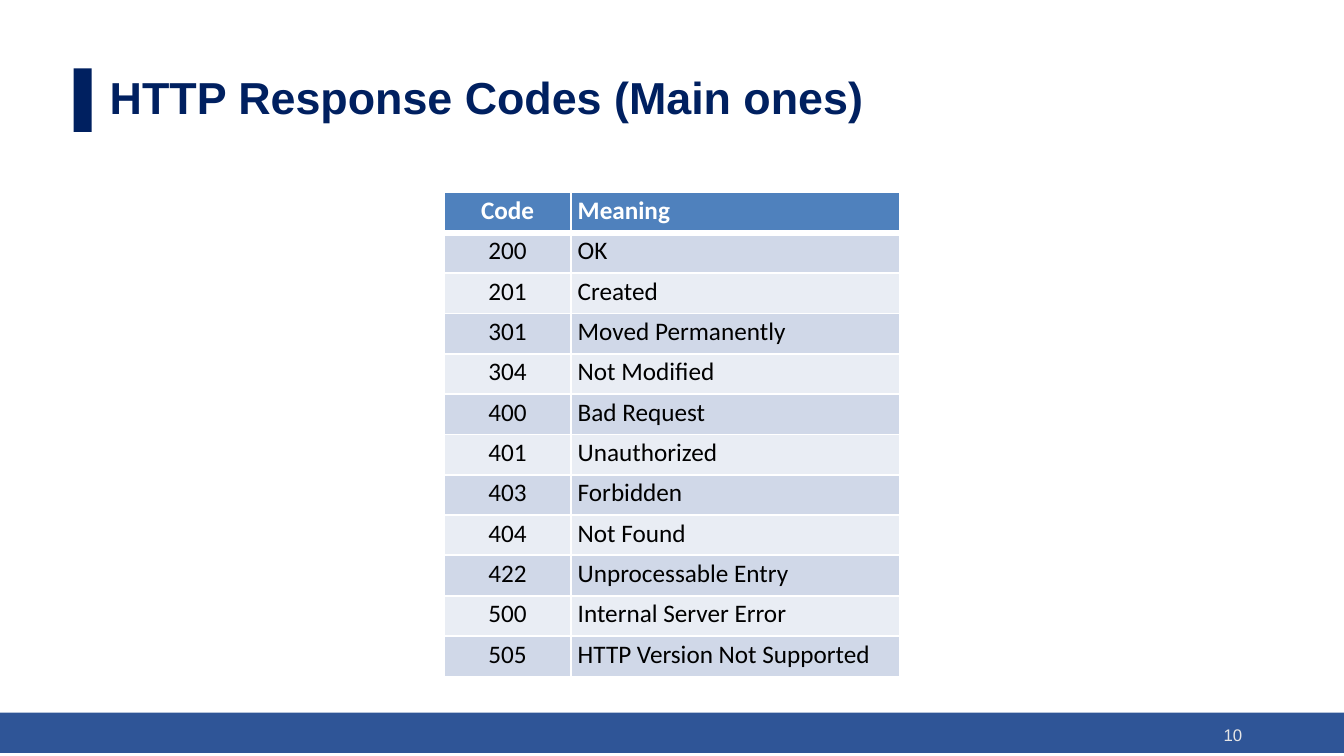
from dataclasses import dataclass

import pptx
import pptx.dml.color
import pptx.enum.shapes
import pptx.enum.text
import pptx.oxml.ns
import pptx.util
from lxml import etree

PX = 9144  # EMU per px, 100 px to the inch
ALIGN = pptx.enum.text.PP_ALIGN
MIDDLE = pptx.enum.text.MSO_ANCHOR.MIDDLE


@dataclass(frozen=True)
class Theme:
    navy: str = "002060"
    footer: str = "2F5597"
    number: str = "E7E6E6"
    header: str = "4F81BD"
    odd_row: str = "D0D8E8"
    even_row: str = "E9EDF4"
    white: str = "FFFFFF"
    black: str = "000000"
    heading_font: str = "Arial"
    table_font: str = "Calibri"
    title_size: int = 32
    table_size: int = 18
    number_size: int = 12
    outer_line: float = 0.75
    inner_line: float = 1.5
    header_line: float = 4.5


@dataclass(frozen=True)
class Box:
    left: int
    top: int
    width: int
    height: int

    def emu(self) -> list[int]:
        return [side * PX for side in (self.left, self.top, self.width, self.height)]


@dataclass(frozen=True)
class Bar:
    box: Box
    color: str


@dataclass(frozen=True)
class Style:
    font: str
    size: int
    color: str
    bold: bool = False
    align: ALIGN = ALIGN.LEFT
    indent: int = 0


@dataclass(frozen=True)
class Label:
    box: Box
    text: str
    style: Style
    line_spacing: float = 1.0


@dataclass(frozen=True)
class Status:
    code: str
    meaning: str


THEME = Theme()

BARS = [
    Bar(Box(0, 707, 1333, 40), THEME.footer),
    Bar(Box(73, 68, 18, 63), THEME.navy),
]

LABELS = [
    Label(Box(942, 709, 300, 40), "10",
          Style(THEME.heading_font, THEME.number_size, THEME.number, align=ALIGN.RIGHT)),
    Label(Box(73, 60, 1247, 78), "HTTP Response Codes (Main ones)",
          Style(THEME.heading_font, THEME.title_size, THEME.navy, bold=True, indent=26), 0.9),
]

STATUSES = [
    Status("Code", "Meaning"),
    Status("200", "OK"),
    Status("201", "Created"),
    Status("301", "Moved Permanently"),
    Status("304", "Not Modified"),
    Status("400", "Bad Request"),
    Status("401", "Unauthorized"),
    Status("403", "Forbidden"),
    Status("404", "Not Found"),
    Status("422", "Unprocessable Entry"),
    Status("500", "Internal Server Error"),
    Status("505", "HTTP Version Not Supported"),
]
COLUMN_WIDTHS = [125, 326]
ROW_HEIGHT = 40
TABLE_BOX = Box(441, 191, sum(COLUMN_WIDTHS), ROW_HEIGHT * len(STATUSES))


def rgb(color: str) -> pptx.dml.color.RGBColor:
    return pptx.dml.color.RGBColor.from_string(color)


def write(frame, text: str, style: Style) -> None:
    frame.text = text
    para = frame.paragraphs[0]
    para.alignment = style.align
    if style.indent:
        para._p.get_or_add_pPr().set("marL", str(style.indent * PX))
    font = para.runs[0].font
    font.name, font.size, font.bold = style.font, pptx.util.Pt(style.size), style.bold
    font.color.rgb = rgb(style.color)


def draw_bar(page, bar: Bar) -> None:
    shape = page.shapes.add_shape(pptx.enum.shapes.MSO_SHAPE.RECTANGLE, *bar.box.emu())
    shape.shadow.inherit = False
    shape.fill.solid()
    shape.fill.fore_color.rgb = rgb(bar.color)
    shape.line.fill.background()


def draw_label(page, label: Label) -> None:
    frame = page.shapes.add_textbox(*label.box.emu()).text_frame
    frame.word_wrap = True
    frame.vertical_anchor = MIDDLE
    write(frame, label.text, label.style)
    frame.paragraphs[0].line_spacing = label.line_spacing


def set_border(cell, side: str, points: float) -> None:
    qn = pptx.oxml.ns.qn
    line = etree.SubElement(cell._tc.get_or_add_tcPr(), qn(f"a:ln{side}"),
                            w=str(pptx.util.Pt(points)))
    fill = etree.SubElement(line, qn("a:solidFill"))
    etree.SubElement(fill, qn("a:srgbClr"), val=THEME.white)


def horizontal_line(edge: int) -> float:
    """Width of the line above row number edge."""
    if edge in (0, len(STATUSES)):
        return THEME.outer_line
    return THEME.header_line if edge == 1 else THEME.inner_line


def draw_cell(cell, row: int, column: int, text: str) -> None:
    is_header, is_code = row == 0, column == 0
    cell.margin_left = cell.margin_right = cell.margin_bottom = 0
    cell.margin_top = 3 * PX
    write(cell.text_frame, text, Style(
        THEME.table_font, THEME.table_size,
        THEME.white if is_header else THEME.black,
        bold=is_header,
        align=ALIGN.CENTER if is_code else ALIGN.LEFT,
        indent=0 if is_code else 7))

    # Borders precede the fill in the cell properties
    set_border(cell, "L", THEME.outer_line if is_code else THEME.inner_line)
    set_border(cell, "R", THEME.inner_line if is_code else THEME.outer_line)
    set_border(cell, "T", horizontal_line(row))
    set_border(cell, "B", horizontal_line(row + 1))
    cell.fill.solid()
    band = THEME.odd_row if row % 2 else THEME.even_row
    cell.fill.fore_color.rgb = rgb(THEME.header if is_header else band)


def draw_table(page) -> None:
    table = page.shapes.add_table(len(STATUSES), len(COLUMN_WIDTHS), *TABLE_BOX.emu()).table
    for column, width in zip(table.columns, COLUMN_WIDTHS):
        column.width = width * PX
    for row, status in enumerate(STATUSES):
        table.rows[row].height = ROW_HEIGHT * PX
        for column, text in enumerate((status.code, status.meaning)):
            draw_cell(table.cell(row, column), row, column, text)


def main() -> None:
    deck = pptx.Presentation()
    deck.slide_width, deck.slide_height = 1333 * PX, 750 * PX
    page = deck.slides.add_slide(deck.slide_layouts[6])

    # Footer band and title marker
    for bar in BARS:
        draw_bar(page, bar)

    # Page number and title
    for label in LABELS:
        draw_label(page, label)

    # Response codes
    draw_table(page)

    deck.save("out.pptx")


if __name__ == "__main__":
    main()
